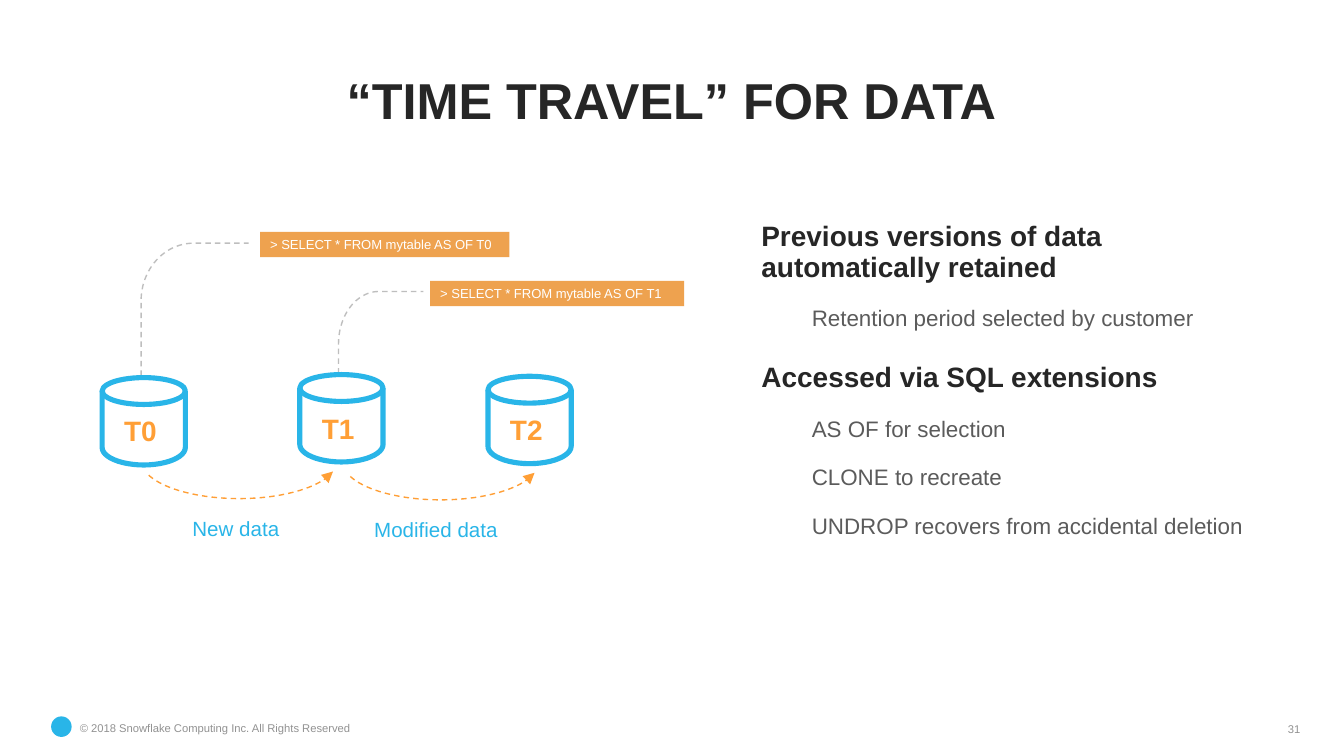
"""Build the slide on querying earlier versions of data."""
from dataclasses import dataclass
from math import cos, radians, sin

from lxml import etree
from pptx import Presentation
from pptx.dml.color import RGBColor
from pptx.enum.dml import MSO_LINE
from pptx.enum.shapes import MSO_SHAPE
from pptx.enum.text import MSO_ANCHOR, PP_ALIGN
from pptx.oxml.ns import qn
from pptx.util import Pt

LEFT, CENTER, RIGHT = PP_ALIGN.LEFT, PP_ALIGN.CENTER, PP_ALIGN.RIGHT
TOP, MIDDLE, BOTTOM = MSO_ANCHOR.TOP, MSO_ANCHOR.MIDDLE, MSO_ANCHOR.BOTTOM
ARC, OVAL, RECTANGLE = MSO_SHAPE.ARC, MSO_SHAPE.OVAL, MSO_SHAPE.RECTANGLE
DASH = MSO_LINE.DASH


@dataclass(frozen=True)
class Theme:
    """Colours, type sizes and line widths."""
    font: str = "Arial"
    dark: str = "262626"
    body: str = "5B5B5B"
    muted: str = "929292"
    guide: str = "7F7F7F"
    blue: str = "29B5E8"
    orange: str = "FF9F36"
    query: str = "E77900"
    white: str = "FFFFFF"
    title_size: float = 27
    heading_size: float = 15
    body_size: float = 12
    label_size: float = 11
    query_size: float = 7
    footer_size: float = 6
    thin: float = 0.75
    thick: float = 2.75


THEME = Theme()
TITLE = "“TIME TRAVEL” FOR DATA"
COPYRIGHT = "© 2018 Snowflake Computing Inc. All Rights Reserved"
PAGE_NUMBER = "31"
POINTS = [
    ("Previous versions of data automatically retained",
     ["Retention period selected by customer"]),
    ("Accessed via SQL extensions",
     ["AS OF for selection", "CLONE to recreate",
      "UNDROP recovers from accidental deletion"]),
]
VERSIONS = [("T0", 54.7, 202.3), ("T1", 160.6, 200.7), ("T2", 261.4, 201.6)]
CHANGES = [
    {"text": "New data", "arc": (75.6, 226.1), "label": (85.7, 273.6, 81.4)},
    {"text": "Modified data", "arc": (183.6, 226.8), "label": (183.6, 274.3, 100)},
]
QUERIES = [
    {"text": "> SELECT * FROM mytable AS OF T0", "box": (139.3, 124.2, 133.6, 13.6),
     "guide": (75.6, 211.7, 133.2, 130.3), "radii": (28.1, 31)},
    {"text": "> SELECT * FROM mytable AS OF T1", "box": (230.4, 150.5, 136.1, 13.6),
     "guide": (181.4, 231.1, 226.8, 156.2), "radii": (21.6, 28.1)},
]
CYLINDER_WIDTH, LID_HEIGHT, SIDE_BOTTOM, BASE_DEPTH = 44.6, 14.4, 37.4, 9.4


def color_of(value):
    return RGBColor.from_string(value)


def set_alpha(fill, percent):
    color = fill._xPr.find(qn("a:solidFill"))[0]
    etree.SubElement(color, qn("a:alpha")).set("val", str(percent * 1000))


def style_shape(shape, fill=None, fill_alpha=None, line=None, width=THEME.thin,
                dash=None, line_alpha=None):
    shape.shadow.inherit = False
    if fill:
        shape.fill.solid()
        shape.fill.fore_color.rgb = color_of(fill)
        if fill_alpha:
            set_alpha(shape.fill, fill_alpha)
    else:
        shape.fill.background()
    if line:
        shape.line.color.rgb = color_of(line)
        shape.line.width = Pt(width)
        if dash:
            shape.line.dash_style = dash
        if line_alpha:
            set_alpha(shape.line.fill, line_alpha)
    else:
        shape.line.fill.background()


def add_shape(slide, kind, box, **style):
    shape = slide.shapes.add_shape(kind, *map(Pt, box))
    style_shape(shape, **style)
    return shape


def prepare_frame(shape, anchor=TOP):
    frame = shape.text_frame
    frame.word_wrap = True
    frame.vertical_anchor = anchor
    frame.margin_left = frame.margin_right = Pt(5.4)
    frame.margin_top = frame.margin_bottom = Pt(2.7)
    return frame


def write(paragraph, text, size=THEME.body_size, color=THEME.dark, bold=False,
          align=LEFT, spacing=None, before=None, level=0, indent=0, first=0):
    properties = paragraph._p.get_or_add_pPr()
    properties.set("marL", str(Pt(indent)))
    properties.set("indent", str(Pt(first)))
    paragraph.level = level
    paragraph.alignment = align
    if spacing:
        paragraph.line_spacing = spacing
    if before:
        paragraph.space_before = Pt(before)
    run = paragraph.add_run()
    run.text = text
    run.font.name = THEME.font
    run.font.size = Pt(size)
    run.font.bold = bold
    run.font.color.rgb = color_of(color)


def add_text(slide, box, text, anchor=TOP, **style):
    shape = slide.shapes.add_textbox(*map(Pt, box))
    write(prepare_frame(shape, anchor).paragraphs[0], text, **style)


def ellipse_points(center_x, center_y, radius_x, radius_y, start, end, steps=24):
    angles = [radians(start + (end - start) * i / steps) for i in range(steps + 1)]
    return [(center_x + radius_x * cos(a), center_y + radius_y * sin(a)) for a in angles]


def add_path(slide, points, **style):
    start, *rest = [(Pt(x), Pt(y)) for x, y in points]
    builder = slide.shapes.build_freeform(*start)
    builder.add_line_segments(rest, close=False)
    style_shape(builder.convert_to_shape(), **style)


def add_query(slide, text, box, guide, radii):
    left, bottom, right, top = guide
    corner = ellipse_points(left + radii[0], top + radii[1], *radii, 180, 270)
    add_path(slide, [(left, bottom), *corner, (right, top)],
             line=THEME.guide, line_alpha=50, dash=DASH)
    shape = add_shape(slide, RECTANGLE, box, fill=THEME.query, fill_alpha=69)
    write(prepare_frame(shape).paragraphs[0], text, size=THEME.query_size,
          color=THEME.white, indent=5, first=-5)


def add_change(slide, text, arc, label):
    shape = add_shape(slide, ARC, (*arc, 105.1, 41), line=THEME.orange, dash=DASH)
    shape.adjustments[0], shape.adjustments[1] = 113.6, 211.94
    shape.rotation = 180
    shape._element.spPr.find(qn("a:xfrm")).set("flipH", "1")
    etree.SubElement(shape.line._get_or_add_ln(), qn("a:tailEnd")).set("type", "triangle")
    add_text(slide, (*label, 18), text, size=THEME.label_size, color=THEME.blue,
             align=CENTER)


def add_version(slide, text, left, top):
    outline = {"fill": THEME.white, "line": THEME.blue, "width": THEME.thick}
    radius, rim = CYLINDER_WIDTH / 2, top + LID_HEIGHT / 2
    base = ellipse_points(left + radius, top + SIDE_BOTTOM, radius, BASE_DEPTH, 180, 0)
    add_path(slide, [(left, rim), *base, (left + CYLINDER_WIDTH, rim)], **outline)
    add_shape(slide, OVAL, (left, top, CYLINDER_WIDTH, LID_HEIGHT), **outline)
    add_text(slide, (left - 0.7, top + 16.6, 42.5, 23.8), text, anchor=MIDDLE,
             size=THEME.heading_size, color=THEME.orange, bold=True, align=CENTER)


def add_points(slide):
    frame = prepare_frame(slide.shapes.add_textbox(*map(Pt, (402.5, 116.6, 288, 212.4))))
    for index, (heading, details) in enumerate(POINTS):
        paragraph = frame.add_paragraph() if index else frame.paragraphs[0]
        write(paragraph, heading, size=THEME.heading_size, bold=True, spacing=0.9,
              before=17 if index else None)
        for detail in details:
            write(frame.add_paragraph(), detail, color=THEME.body, spacing=0.9,
                  before=13, level=1, indent=27)


def main():
    presentation = Presentation()
    presentation.slide_width, presentation.slide_height = Pt(720), Pt(405)
    slide = presentation.slides.add_slide(presentation.slide_layouts[6])
    footer = {"size": THEME.footer_size, "color": THEME.muted}
    add_text(slide, (37.4, 383.8, 158.4, 13), COPYRIGHT, **footer)
    add_shape(slide, OVAL, (27.4, 383.8, 11, 11), fill=THEME.blue)
    add_text(slide, (21.6, 17.3, 676.1, 55.4), TITLE, anchor=BOTTOM, bold=True,
             size=THEME.title_size, align=CENTER, spacing=0.9)
    add_text(slide, (681.8, 383.8, 20.2, 13), PAGE_NUMBER, anchor=BOTTOM,
             align=RIGHT, **footer)
    add_points(slide)
    for query in QUERIES:
        add_query(slide, **query)
    for change in CHANGES:
        add_change(slide, **change)
    for version in VERSIONS:
        add_version(slide, *version)
    presentation.save("out.pptx")


if __name__ == "__main__":
    main()
